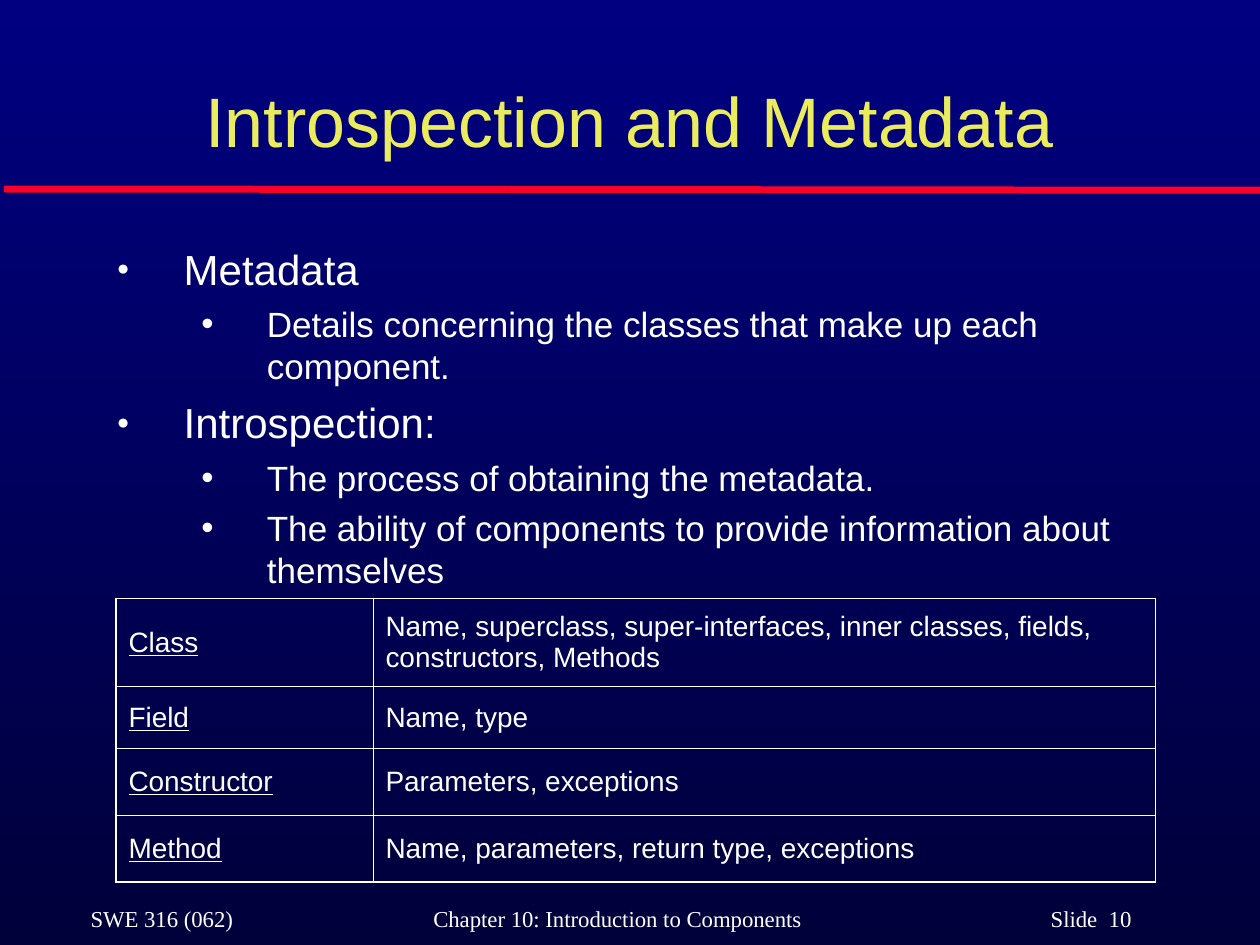
from lxml import etree
from pptx import Presentation
from pptx.dml.color import RGBColor
from pptx.enum.shapes import MSO_CONNECTOR
from pptx.enum.text import MSO_ANCHOR, PP_ALIGN
from pptx.oxml.ns import qn
from pptx.util import Inches, Pt

STRAIGHT = MSO_CONNECTOR.STRAIGHT
TOP, MIDDLE, BOTTOM = MSO_ANCHOR.TOP, MSO_ANCHOR.MIDDLE, MSO_ANCHOR.BOTTOM
LEFT, CENTER = PP_ALIGN.LEFT, PP_ALIGN.CENTER

WHITE, YELLOW, RED = "FFFFFF", "EAEC5E", "FC0128"
BACKGROUND = ["000080", "00003B"]

TITLE = "Introspection and Metadata"
BULLETS = [
    (0, "Metadata"),
    (1, "Details concerning the classes that make up each component."),
    (0, "Introspection:"),
    (1, "The process of obtaining the metadata."),
    (1, "The ability of components to provide information about themselves"),
]
LEVELS = [
    {"size": 24, "before": 6, "margin": 0.53, "hanging": 0.53, "bullet": "●", "percent": 50},
    {"size": 20, "before": 5, "margin": 1.19, "hanging": 0.52, "bullet": "•", "percent": 100},
]
MEMBERS = [
    ("Class", "Name, superclass, super-interfaces, inner classes, fields, constructors, Methods"),
    ("Field", "Name, type"),
    ("Constructor", "Parameters, exceptions"),
    ("Method", "Name, parameters, return type, exceptions"),
]
COLUMN_WIDTHS = [2.04, 6.21]
ROW_HEIGHTS = [0.7, 0.49, 0.53, 0.53]
OUTER_LINE, INNER_LINE = 1.08, 0.45
FOOTER = ["SWE 316 (062)", "Chapter 10: Introduction to Components", "Slide\u00a0 10"]
FOOTER_TABS = [2.72, 7.62]


def color(value):
    return RGBColor.from_string(value)


def add_child(parent, tag, **attributes):
    child = etree.SubElement(parent, qn(tag))
    for name, value in attributes.items():
        child.set(name, str(value))
    return child


def write(para, text, size, font="Arial", fill=WHITE, underline=None):
    span = para.add_run()
    span.text = text
    formats = {"size": Pt(size), "name": font, "underline": underline}
    for name, value in formats.items():
        setattr(span.font, name, value)
    span.font.color.rgb = color(fill)


def add_box(slide, left, top, width, height, anchor=TOP):
    frame = slide.shapes.add_textbox(*map(Inches, (left, top, width, height))).text_frame
    frame.word_wrap = True
    frame.vertical_anchor = anchor
    return frame


def add_bullet(para, level):
    props = para._p.get_or_add_pPr()
    props.set("marL", str(Inches(level["margin"])))
    props.set("indent", str(-Inches(level["hanging"])))
    add_child(add_child(props, "a:buClr"), "a:srgbClr", val=WHITE)
    add_child(props, "a:buSzPct", val=level["percent"] * 1000)
    add_child(props, "a:buFont", typeface="Arial")
    add_child(props, "a:buChar", char=level["bullet"])


def add_background(slide):
    fill = slide.background.fill
    fill.gradient()
    fill.gradient_angle = 270
    for stop, value in zip(fill.gradient_stops, BACKGROUND):
        stop.color.rgb = color(value)


def add_rule(slide):
    rule = slide.shapes.add_connector(STRAIGHT, *map(Inches, (0.03, 1.5, 10, 1.51)))
    rule.line.color.rgb = color(RED)
    rule.line.width = Pt(4)
    add_child(rule._element.spPr, "a:effectLst")


def add_footer(slide):
    para = add_box(slide, 0.62, 7.13, 8.92, 0.32).paragraphs[0]
    tabs = add_child(para._p.get_or_add_pPr(), "a:tabLst")
    for position in FOOTER_TABS:
        add_child(tabs, "a:tab", pos=Inches(position), algn="l")
    write(para, "\t".join(FOOTER), 13, font="Times New Roman")


def add_title(slide):
    para = add_box(slide, 0.73, 0.33, 8.53, 1, BOTTOM).paragraphs[0]
    para.alignment = CENTER
    write(para, TITLE, 40, fill=YELLOW)


def add_bullets(slide):
    frame = add_box(slide, 0.83, 1.83, 8.53, 4.52)
    frame.margin_top = Inches(0.1)
    for index, (depth, text) in enumerate(BULLETS):
        para = frame.add_paragraph() if index else frame.paragraphs[0]
        level = LEVELS[depth]
        para.level = depth
        add_bullet(para, level)
        if index:
            para.space_before = Pt(level["before"])
        write(para, text, level["size"])


def set_borders(cell, outer_sides):
    props = cell._tc.get_or_add_tcPr()
    for index, side in enumerate("LRTB"):
        width = OUTER_LINE if side in outer_sides else INNER_LINE
        line = add_child(props, f"a:ln{side}", w=Pt(width))
        add_child(add_child(line, "a:solidFill"), "a:srgbClr", val=WHITE)
        props.insert(index, line)


def add_members_table(slide):
    size = len(MEMBERS), len(COLUMN_WIDTHS)
    area = map(Inches, (0.92, 4.75, sum(COLUMN_WIDTHS), sum(ROW_HEIGHTS)))
    table = slide.shapes.add_table(*size, *area).table
    table.first_row = table.horz_banding = False
    for column, width in zip(table.columns, COLUMN_WIDTHS):
        column.width = Inches(width)
    for row, height in zip(table.rows, ROW_HEIGHTS):
        row.height = Inches(height)
    for r, texts in enumerate(MEMBERS):
        for c, text in enumerate(texts):
            cell = table.cell(r, c)
            cell.vertical_anchor = MIDDLE
            cell.fill.background()
            outer_sides = "R" if c else "L"
            if r == 0:
                outer_sides += "T"
            if r == len(MEMBERS) - 1:
                outer_sides += "B"
            set_borders(cell, outer_sides)
            para = cell.text_frame.paragraphs[0]
            para.alignment = LEFT
            write(para, text, 16, underline=c == 0)


def main():
    deck = Presentation()
    deck.slide_width, deck.slide_height = Inches(10), Inches(7.5)
    slide = deck.slides.add_slide(deck.slide_layouts[6])
    add_background(slide)
    add_rule(slide)
    add_footer(slide)
    add_title(slide)
    add_bullets(slide)
    add_members_table(slide)
    deck.save("out.pptx")


if __name__ == "__main__":
    main()
